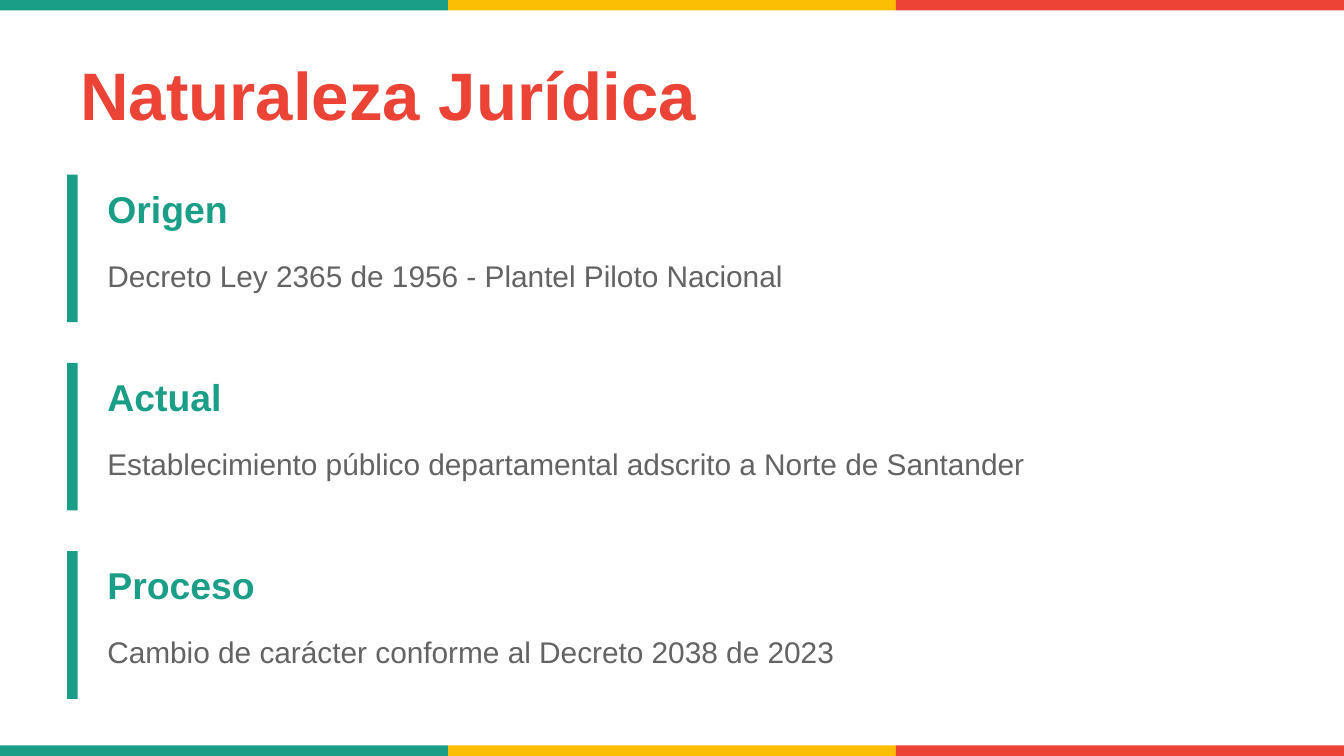
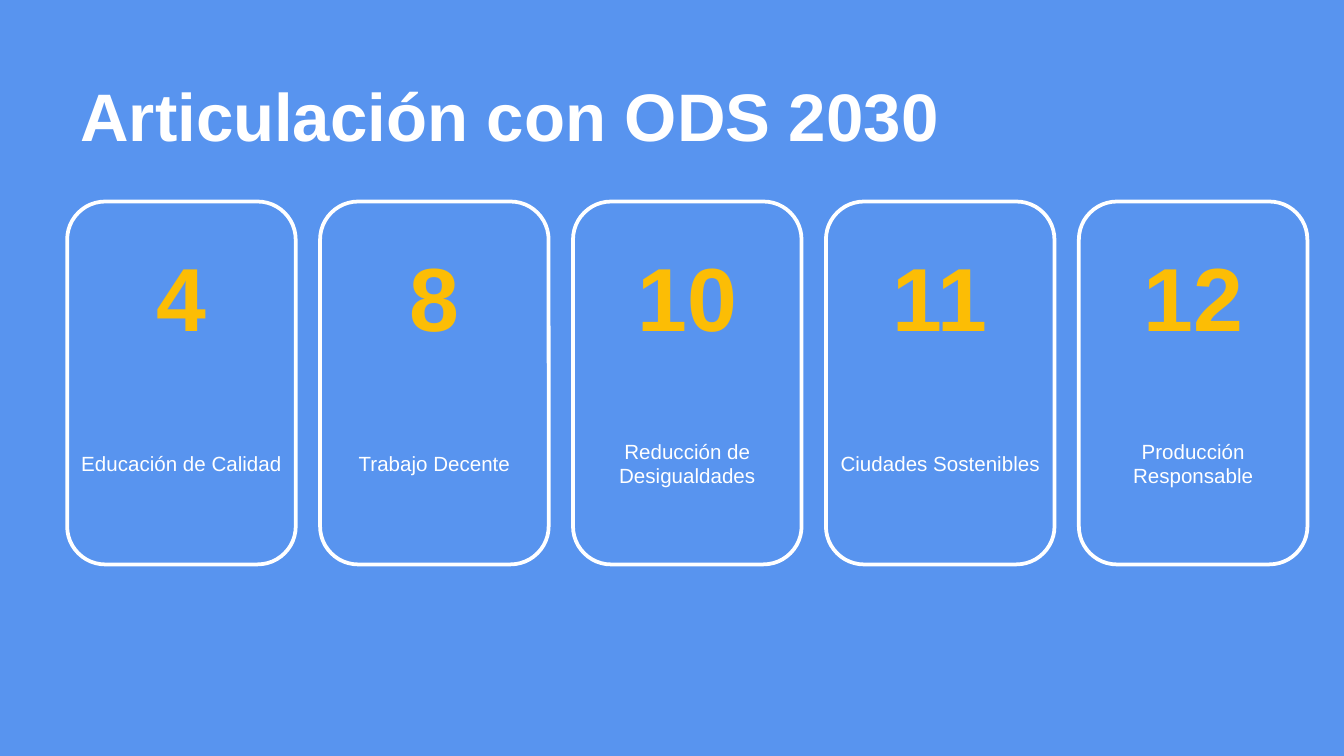
from dataclasses import dataclass

from lxml.etree import SubElement
from pptx import Presentation
from pptx.dml.color import RGBColor
from pptx.enum.shapes import MSO_SHAPE
from pptx.enum.text import MSO_ANCHOR, PP_ALIGN
from pptx.oxml.ns import qn
from pptx.shapes.autoshape import Shape
from pptx.slide import Slide
from pptx.util import Cm, Pt

# Shared palette, sizes and text formats
GREEN = RGBColor(0x1B, 0x9E, 0x88)
YELLOW = RGBColor(0xFC, 0xBD, 0x05)
RED = RGBColor(0xEB, 0x43, 0x35)
GREY = RGBColor(0x64, 0x63, 0x63)
BLUE = RGBColor(0x58, 0x94, 0xEF)
WHITE = RGBColor(0xFF, 0xFF, 0xFF)

PAGE_WIDTH, PAGE_HEIGHT = 25.4, 14.29
MARGIN = 1.27
STRIPE = 0.2

FONT = "Arial"
TITLE = {"name": FONT, "size": Pt(36), "bold": True}
HEADING = {"name": FONT, "size": Pt(20), "bold": True}
BODY = {"name": FONT, "size": Pt(16)}
NUMBER = {"name": FONT, "size": Pt(48), "bold": True}
LABEL = {"name": FONT, "size": Pt(11)}


@dataclass(frozen=True)
class Area:
    """A rectangle in centimetres."""
    left: float
    top: float
    width: float
    height: float

    def lengths(self) -> tuple[Cm, Cm, Cm, Cm]:
        return Cm(self.left), Cm(self.top), Cm(self.width), Cm(self.height)


@dataclass(frozen=True)
class Stage:
    heading: str
    detail: str


@dataclass(frozen=True)
class Goal:
    number: int
    label: str


STAGES = [
    Stage("Origen", "Decreto Ley 2365 de 1956 - Plantel Piloto Nacional"),
    Stage("Actual", "Establecimiento público departamental adscrito a Norte de Santander"),
    Stage("Proceso", "Cambio de carácter conforme al Decreto 2038 de 2023"),
]
GOALS = [
    Goal(4, "Educación de Calidad"),
    Goal(8, "Trabajo Decente"),
    Goal(10, "Reducción de Desigualdades"),
    Goal(11, "Ciudades Sostenibles"),
    Goal(12, "Producción Responsable"),
]


def add_page(deck: Presentation, background: RGBColor) -> Slide:
    page = deck.slides.add_slide(deck.slide_layouts[6])
    page.background.fill.solid()
    page.background.fill.fore_color.rgb = background
    return page


def add_block(page: Slide, area: Area, color: RGBColor,
              kind: MSO_SHAPE = MSO_SHAPE.RECTANGLE) -> Shape:
    block = page.shapes.add_shape(kind, *area.lengths())
    block.shadow.inherit = False
    block.fill.solid()
    block.fill.fore_color.rgb = color
    block.line.fill.background()
    return block


def add_text(page: Slide, area: Area, text: str, style: dict, color: RGBColor,
             align: PP_ALIGN = PP_ALIGN.LEFT) -> None:
    frame = page.shapes.add_textbox(*area.lengths()).text_frame
    frame.word_wrap = True
    frame.vertical_anchor = MSO_ANCHOR.MIDDLE
    para = frame.paragraphs[0]
    para.alignment = align
    span = para.add_run()
    span.text = text
    for name, value in style.items():
        setattr(span.font, name, value)
    span.font.color.rgb = color


def add_title(page: Slide, text: str, top: float, height: float, color: RGBColor) -> None:
    area = Area(MARGIN, top, PAGE_WIDTH - 2 * MARGIN, height)
    add_text(page, area, text, TITLE, color)


def add_bands(page: Slide) -> None:
    colors = (GREEN, YELLOW, RED)
    width = PAGE_WIDTH / len(colors)
    for top in (0, PAGE_HEIGHT - STRIPE):
        for index, color in enumerate(colors):
            add_block(page, Area(index * width, top, width, STRIPE), color)


def add_stage(page: Slide, stage: Stage, top: float) -> None:
    left, width, row = 1.78, 21.59, 1.27
    add_block(page, Area(MARGIN, top, STRIPE, 2.79), GREEN)
    add_text(page, Area(left, top, width, row), stage.heading, HEADING, GREEN)
    add_text(page, Area(left, top + row, width, row), stage.detail, BODY, GREY)


def add_goal(page: Slide, goal: Goal, left: float, width: float) -> None:
    card = add_block(page, Area(left, 3.81, width, 6.86), BLUE, MSO_SHAPE.ROUNDED_RECTANGLE)
    fill_color = card._element.spPr.find(qn("a:solidFill"))[0]
    SubElement(fill_color, qn("a:alpha"), val="60000")
    card.line.color.rgb = WHITE
    card.line.width = Pt(2)
    add_text(page, Area(left, 4.32, width, 2.54), str(goal.number), NUMBER, YELLOW,
             PP_ALIGN.CENTER)
    add_text(page, Area(left, 7.49, width, 2.54), goal.label, LABEL, WHITE,
             PP_ALIGN.CENTER)


def build_legal_nature(deck: Presentation) -> None:
    page = add_page(deck, WHITE)
    add_bands(page)
    add_title(page, "Naturaleza Jurídica", 0.76, 2.03, RED)
    for index, stage in enumerate(STAGES):
        add_stage(page, stage, 3.3 + index * 3.56)


def build_goals(deck: Presentation) -> None:
    page = add_page(deck, BLUE)
    add_title(page, "Articulación con ODS 2030", 1.27, 1.78, WHITE)
    width, gap = 4.32, 0.46
    for index, goal in enumerate(GOALS):
        add_goal(page, goal, MARGIN + index * (width + gap), width)


def main() -> None:
    deck = Presentation()
    deck.slide_width, deck.slide_height = Cm(PAGE_WIDTH), Cm(PAGE_HEIGHT)
    build_legal_nature(deck)
    build_goals(deck)
    deck.save("out.pptx")


if __name__ == "__main__":
    main()
